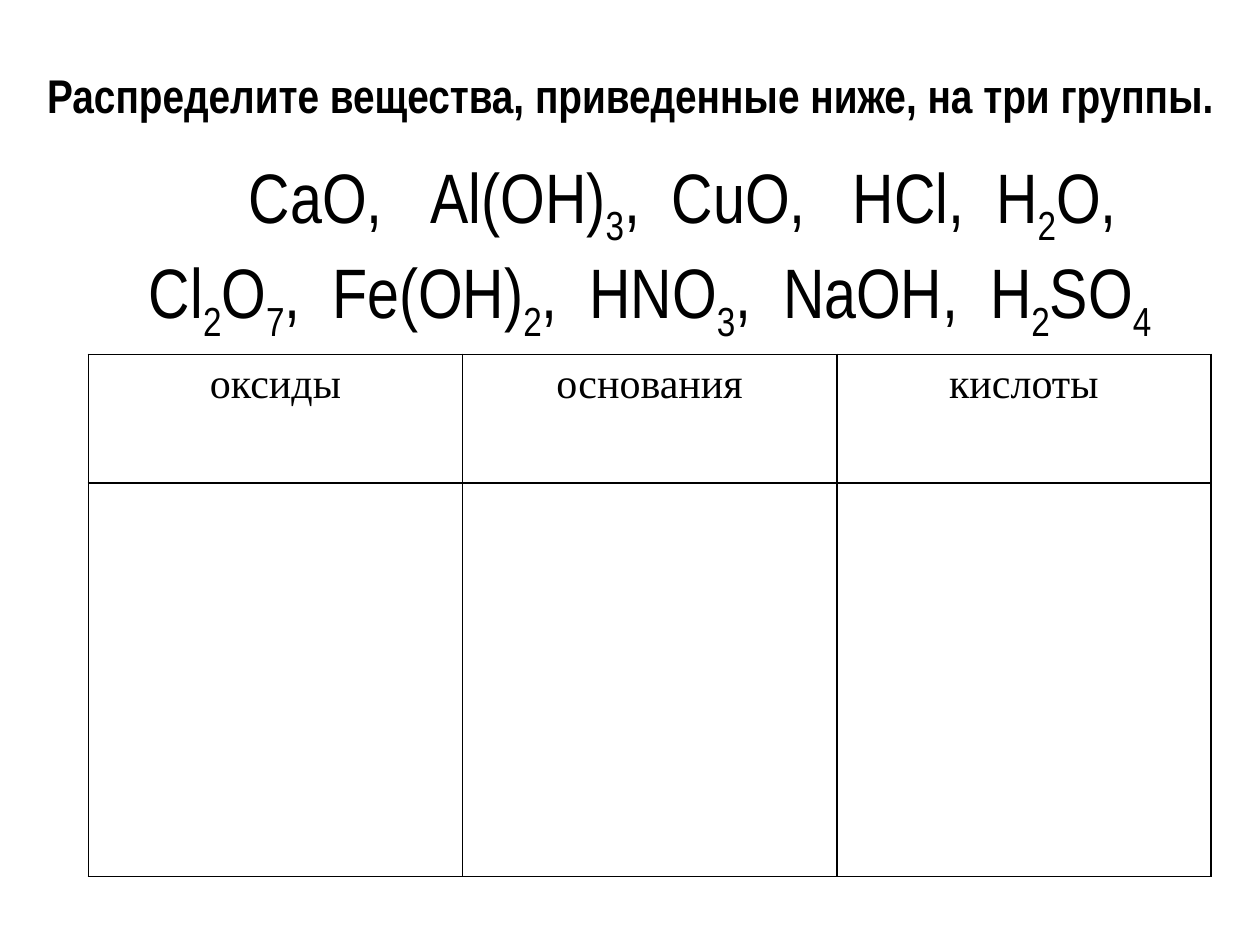
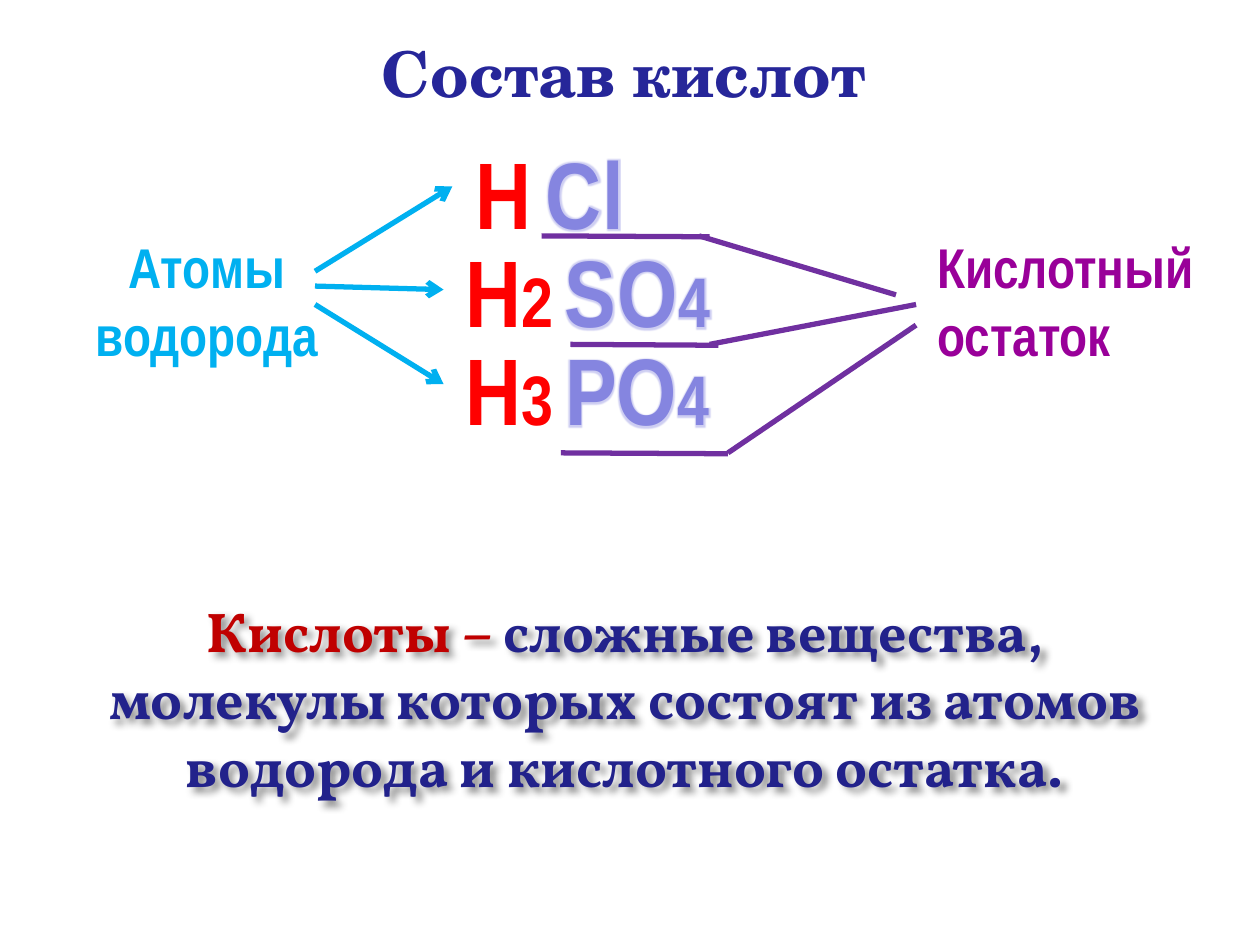
from dataclasses import dataclass
from itertools import groupby

from lxml.etree import SubElement
from pptx import Presentation
from pptx.dml.color import RGBColor
from pptx.enum.shapes import MSO_CONNECTOR
from pptx.enum.text import MSO_ANCHOR, MSO_AUTO_SIZE, PP_ALIGN
from pptx.oxml import parse_xml
from pptx.oxml.ns import nsdecls, qn
from pptx.util import Pt


@dataclass(frozen=True)
class Theme:
    # Colours
    black: str = "000000"
    title_blue: str = "262699"
    text_blue: str = "22228B"
    red: str = "FF0000"
    dark_red: str = "C00000"
    lilac: str = "8585E0"
    outline_blue: str = "1C1CB5"
    sky: str = "00B0F0"
    purple: str = "7030A0"
    magenta: str = "990099"
    # Fonts
    narrow: str = "Arial Narrow"
    serif: str = "Times New Roman"
    school: str = "TeX Gyre Schola"
    book: str = "Vollkorn"
    # Type sizes
    task: int = 27
    title: int = 36
    formula: int = 40
    symbol: int = 54
    index: int = 40
    label: int = 32
    table: int = 24


THEME = Theme()

# Each formula comes with the extra gap, in points, that follows it
FORMULA_LINES = [
    [("СаО", 18), ("Аl(ОН)3", 9), ("СuО", 18), ("НСl", 9), ("Н2О", 0)],
    [("Сl2О7", 9), ("Fе(ОН)2", 9), ("НNО3", 9), ("NаОН", 9), ("Н2SО4", 0)],
]
GROUPS = ["оксиды", "основания", "кислоты"]


# Text helpers
def style(run, font, size, color, bold=False):
    run.font.name = font
    run.font.size = Pt(size)
    run.font.bold = bold
    run.font.color.rgb = RGBColor.from_string(color)


def place(shape, left, top, width, height):
    shape.left, shape.top = Pt(left), Pt(top)
    shape.width, shape.height = Pt(width), Pt(height)


def split_digits(formula):
    """Yield (text, is_index) parts of a chemical formula."""
    for is_index, letters in groupby(formula, str.isdigit):
        yield "".join(letters), is_index


def set_title(slide, text, box, font, size, color):
    title = slide.shapes.title
    place(title, *box)
    frame = title.text_frame
    frame.text = text
    frame.auto_size = MSO_AUTO_SIZE.NONE
    frame.vertical_anchor = MSO_ANCHOR.MIDDLE
    frame.paragraphs[0].alignment = PP_ALIGN.CENTER
    style(frame.paragraphs[0].runs[0], font, size, color, bold=True)


def add_text(slide, text, box, color, align=PP_ALIGN.CENTER, font=THEME.narrow):
    shape = slide.shapes.add_textbox(*(Pt(length) for length in box))
    frame = shape.text_frame
    frame.word_wrap = True
    frame.text = text
    for paragraph in frame.paragraphs:
        paragraph.alignment = align
        for run in paragraph.runs:
            style(run, font, THEME.label, color, bold=True)
    return shape


# Slide 1 elements
def add_formula_list(slide, box):
    body = slide.placeholders[1]
    place(body, *box)
    body.text_frame.auto_size = MSO_AUTO_SIZE.NONE
    paragraph = body.text_frame.paragraphs[0]
    paragraph.alignment = PP_ALIGN.CENTER
    paragraph.space_before = Pt(4)
    properties = paragraph._p.get_or_add_pPr()
    properties.set("marL", str(Pt(18)))
    properties.set("indent", str(Pt(37)))
    SubElement(properties, qn("a:buNone"))

    def add_part(text, **attributes):
        run = paragraph.add_run()
        run.text = text
        style(run, THEME.narrow, THEME.formula, THEME.black)
        for name, value in attributes.items():
            run._r.get_or_add_rPr().set(name, str(value))

    for number, formulas in enumerate(FORMULA_LINES):
        if number:
            add_part(",")
            paragraph.add_line_break()
        for formula, gap in formulas:
            for text, is_index in split_digits(formula):
                add_part(text, baseline=-25000 if is_index else 0)
            if gap:
                add_part(",")
                add_part(" ", spc=gap * 100)


def set_borders(cell):
    properties = cell._tc.get_or_add_tcPr()
    for position, side in enumerate("LRTB"):
        properties.insert(position, parse_xml(
            f'<a:ln{side} {nsdecls("a")} w="{Pt(1)}"><a:solidFill>'
            f'<a:srgbClr val="{THEME.black}"/></a:solidFill></a:ln{side}>'))


def add_group_table(slide, box, row_heights):
    table = slide.shapes.add_table(
        len(row_heights), len(GROUPS), *(Pt(length) for length in box)).table
    table.first_row = table.horz_banding = False
    for row, height in zip(table.rows, row_heights):
        row.height = Pt(height)
    for cell in table.iter_cells():
        cell.fill.background()
        set_borders(cell)
    for column, name in enumerate(GROUPS):
        cell = table.cell(0, column)
        cell.text = name
        paragraph = cell.text_frame.paragraphs[0]
        paragraph.alignment = PP_ALIGN.CENTER
        style(paragraph.runs[0], THEME.serif, THEME.table, THEME.black)


# Slide 2 elements
def outline_text(run, color, width):
    run._r.get_or_add_rPr().insert(0, parse_xml(
        f'<a:ln {nsdecls("a")} w="{Pt(width)}"><a:solidFill>'
        f'<a:srgbClr val="{color}"/></a:solidFill></a:ln>'))


def glow_text(run, color):
    properties = run._r.get_or_add_rPr()
    properties.set("spc", "50")
    properties.find(qn("a:solidFill")).addnext(parse_xml(
        f'<a:effectLst {nsdecls("a")}><a:glow rad="{Pt(3)}">'
        f'<a:srgbClr val="{color}"><a:alpha val="40000"/></a:srgbClr>'
        '</a:glow></a:effectLst>'))


def add_symbol(slide, formula, box, color, outline, width, glow=False):
    shape = slide.shapes.add_textbox(*(Pt(length) for length in box))
    frame = shape.text_frame
    frame.word_wrap = False
    frame.auto_size = MSO_AUTO_SIZE.SHAPE_TO_FIT_TEXT
    paragraph = frame.paragraphs[0]
    paragraph.alignment = PP_ALIGN.CENTER
    for text, is_index in split_digits(formula):
        run = paragraph.add_run()
        run.text = text
        size = THEME.index if is_index else THEME.symbol
        style(run, THEME.narrow, size, color, bold=True)
        outline_text(run, outline, width)
        if glow:
            glow_text(run, color)


def add_line(slide, start, end, color, arrow=False):
    line = slide.shapes.add_connector(
        MSO_CONNECTOR.STRAIGHT, *(Pt(value) for value in (*start, *end)))
    line.line.color.rgb = RGBColor.from_string(color)
    line.line.width = Pt(3)
    if arrow:
        SubElement(line.line._get_or_add_ln(), qn("a:tailEnd"), type="arrow")
    SubElement(line._element.spPr, qn("a:effectLst"))


def add_definition(slide, box):
    shape = add_text(slide, "Кислоты – ", box, THEME.dark_red, font=THEME.book)
    run = shape.text_frame.paragraphs[0].add_run()
    run.text = ("сложные вещества, молекулы которых состоят из атомов "
                "водорода и кислотного остатка.")
    style(run, THEME.book, THEME.label, THEME.text_blue, bold=True)
    shape._element.spPr.append(parse_xml(
        f'<a:effectLst {nsdecls("a")}><a:outerShdw blurRad="{Pt(4)}" '
        f'dist="{Pt(3)}" dir="2700000" algn="tl"><a:srgbClr val="000000">'
        '<a:alpha val="43000"/></a:srgbClr></a:outerShdw></a:effectLst>'))


# Slides
def build_sorting_slide(presentation):
    slide = presentation.slides.add_slide(presentation.slide_layouts[1])
    set_title(slide, "Распределите вещества, приведенные ниже, на три группы.",
              (11.5, 24, 697.5, 60), THEME.narrow, THEME.task, THEME.black)
    add_formula_list(slide, (22.5, 84, 680, 438.5))
    add_group_table(slide, (50.5, 202.5, 641.5, 298.5), (73.5, 225))


def build_acid_slide(presentation):
    slide = presentation.slides.add_slide(presentation.slide_layouts[5])
    set_title(slide, "Состав кислот", (11.5, 11.5, 690, 60),
              THEME.school, THEME.title, THEME.title_blue)

    # Formulas: hydrogen on the left, acid residue on the right
    acids = [
        ("Н", 264.5, 46.5, "Сl", 304, 60.5),
        ("Н2", 258.5, 65.5, "SО4", 314.5, 99.5),
        ("Н3", 258.5, 65.5, "РО4", 314.5, 99.5),
    ]
    for row, (atoms, left, width, residue, right, span) in enumerate(acids):
        top = 73.5 + 56.2 * row
        add_symbol(slide, atoms, (left, top, width, 72.5),
                   THEME.red, THEME.red, 0.9)
        add_symbol(slide, residue, (right, top, span, 72.5),
                   THEME.lilac, THEME.outline_blue, 1, glow=True)

    # Labels on both sides
    add_text(slide, "Атомы\nводорода", (39.5, 129.5, 157.5, 85), THEME.sky)
    add_text(slide, "Кислотный остаток", (528.5, 129.5, 163.5, 85),
             THEME.magenta, align=PP_ALIGN.LEFT)

    # Arrows from the hydrogen label
    for start_y, end in [(155, (258.5, 106.5)), (163.5, (253.5, 165.5)),
                         (174, (253.5, 219.5))]:
        add_line(slide, (180, start_y), end, THEME.sky, arrow=True)

    # Underlines, each joined to the residue label
    for y, left, right, joint, end in [
            (134.8, 309.5, 405.5, 399.5, (512, 168.5)),
            (196.8, 326, 410.5, 405.5, (523.5, 174)),
            (258.8, 320.5, 416, 416, (523.5, 185.8))]:
        add_line(slide, (left, y), (right, y + 0.5), THEME.purple)
        add_line(slide, (joint, y), end, THEME.purple)

    add_definition(slide, (34, 337.5, 646.5, 124))


def main():
    presentation = Presentation()
    presentation.slide_width, presentation.slide_height = Pt(720), Pt(540)
    build_sorting_slide(presentation)
    build_acid_slide(presentation)
    presentation.save("out.pptx")


main()
